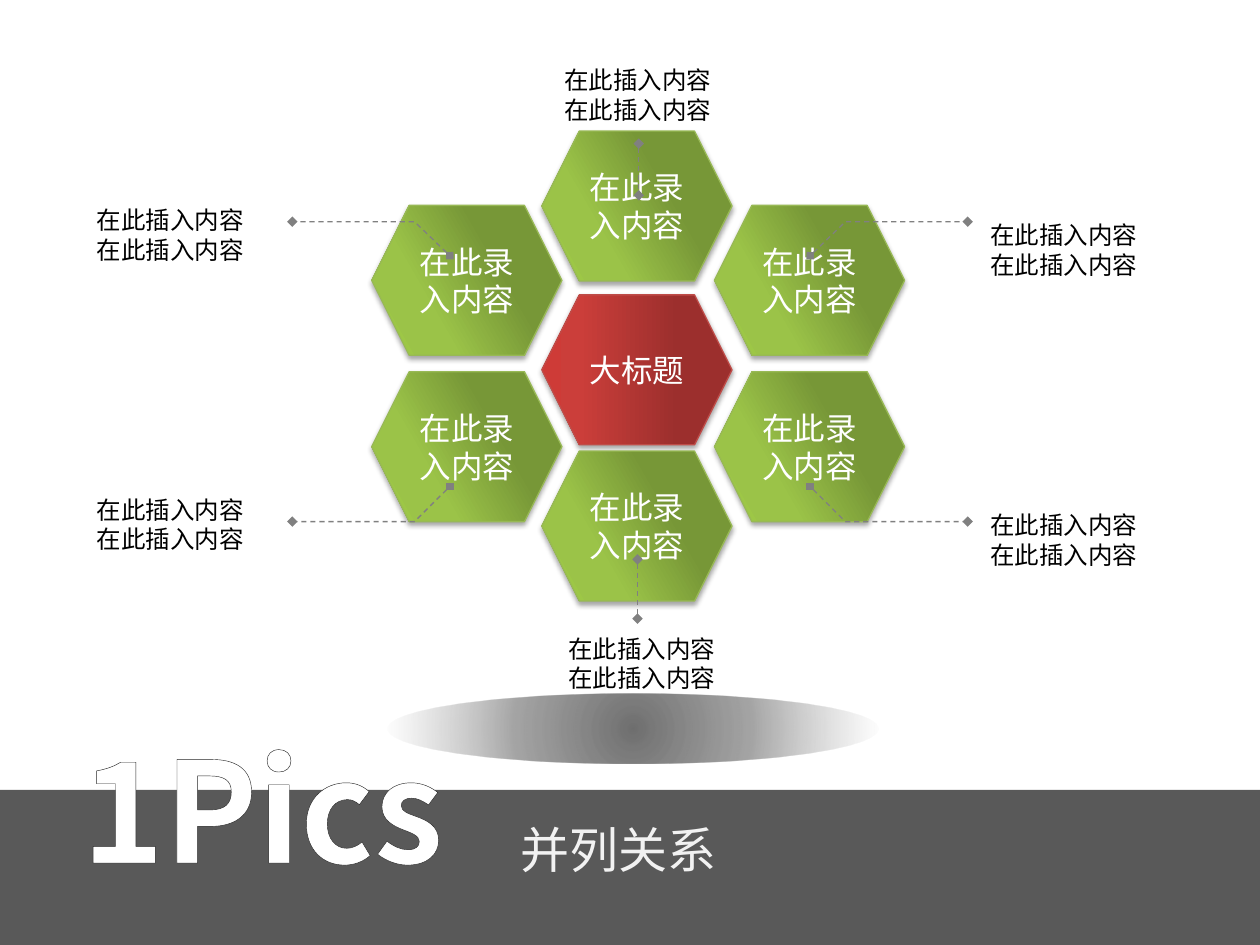
from lxml.etree import SubElement
from pptx import Presentation
from pptx.dml.color import RGBColor
from pptx.enum.dml import MSO_LINE
from pptx.enum.shapes import MSO_CONNECTOR, MSO_SHAPE
from pptx.enum.text import MSO_ANCHOR, MSO_AUTO_SIZE, PP_ALIGN
from pptx.oxml import parse_xml
from pptx.oxml.ns import nsdecls, qn
from pptx.util import Inches, Pt

FONT = "Noto Sans CJK SC"
WHITE = RGBColor(0xFF, 0xFF, 0xFF)
BLACK = RGBColor(0x00, 0x00, 0x00)
PALE = RGBColor(0xF2, 0xF2, 0xF2)
DARK = RGBColor(0x59, 0x59, 0x59)
GRAY = RGBColor(0x80, 0x80, 0x80)
GREEN = RGBColor(0x98, 0xB9, 0x55)
RED = RGBColor(0xBF, 0x4C, 0x48)

# Gradient stops: position, colour, opacity (percent)
LEAF = [(35, "779737", 100), (69, "9BC348", 100), (100, "9DC746", 100)]
ROSE = [(29, "9C2F2D", 100), (80, "CB3E3A", 100), (100, "CE3B37", 100)]
SHADE = [(0, "404040", 75), (48, "535353", 52), (100, "808080", 0)]
LINEAR = '<a:lin ang="{}" scaled="0"/>'
ROUND = ('<a:path path="circle"><a:fillToRect l="50000" t="50000" '
         'r="50000" b="50000"/></a:path>')


def set_text(frame, text, size, color, bold=False):
    frame.text = text
    for para in frame.paragraphs:
        for run in para.runs:
            font = run.font
            font.size, font.bold, font.name = Pt(size), bold, FONT
            font.color.rgb = color
            SubElement(font._element, qn("a:ea"), typeface=FONT)


def set_grad(shape, stops, way):
    parts = "".join(
        f'<a:gs pos="{pos * 1000}"><a:srgbClr val="{color}">'
        f'<a:alpha val="{alpha * 1000}"/></a:srgbClr></a:gs>'
        for pos, color, alpha in stops)
    fill = parse_xml(f'<a:gradFill {nsdecls("a")} rotWithShape="1">'
                     f'<a:gsLst>{parts}</a:gsLst>{way}</a:gradFill>')
    shape._element.spPr.find(qn("a:prstGeom")).addnext(fill)


deck = Presentation()
deck.slide_width, deck.slide_height = Inches(10), Inches(7.5)
slide = deck.slides.add_slide(deck.slide_layouts[5])
shapes = slide.shapes

# Footer band, placed behind the title
band = shapes.add_shape(MSO_SHAPE.RECTANGLE, 0, Inches(6.27), Inches(10), Inches(1.23))
band.shadow.inherit = False
band.fill.solid()
band.fill.fore_color.rgb = DARK
band.line.fill.background()
title = shapes.title
title._element.addprevious(band._element)

# Title
title.left, title.top = Inches(4.03), Inches(6.45)
title.width, title.height = Inches(1.77), Inches(0.57)
frame = title.text_frame
set_text(frame, "并列关系", 28, PALE)
frame.word_wrap = False
frame.auto_size = MSO_AUTO_SIZE.SHAPE_TO_FIT_TEXT
frame.vertical_anchor = MSO_ANCHOR.TOP
frame.paragraphs[0].alignment = PP_ALIGN.LEFT

# Large outlined caption
box = shapes.add_textbox(Inches(0.55), Inches(5.69), Inches(3.86), Inches(1.45))
frame = box.text_frame
frame.word_wrap = True
frame.auto_size = MSO_AUTO_SIZE.SHAPE_TO_FIT_TEXT
set_text(frame, "1Pics", 80, WHITE, True)
edge = parse_xml(f'<a:ln {nsdecls("a")} w="19050"><a:solidFill>'
                 '<a:srgbClr val="262626"/></a:solidFill></a:ln>')
frame.paragraphs[0].runs[0].font._element.insert(0, edge)

# Honeycomb
ring = [(2.95, 2.95), (5.67, 2.95), (2.95, 1.63), (5.67, 1.63),
        (4.3, 1.04), (4.3, 2.34), (4.3, 3.58)]
group = shapes.add_group_shape()
for x, y in ring:
    core = (x, y) == (4.3, 2.34)
    cell = group.shapes.add_shape(MSO_SHAPE.HEXAGON, Inches(x), Inches(y),
                                  Inches(1.51), Inches(1.19))
    set_grad(cell, ROSE if core else LEAF,
             LINEAR.format((180 if core else 150) * 60000))
    cell.line.color.rgb = RED if core else GREEN
    cell.line.width = Pt(0.75)
    cell.shadow.inherit = False
    cell._element.spPr.find(qn("a:effectLst")).append(parse_xml(
        f'<a:outerShdw {nsdecls("a")} blurRad="{Pt(3.1)}" dist="{Pt(1.8)}" '
        'dir="5400000" rotWithShape="0"><a:srgbClr val="000000">'
        '<a:alpha val="35000"/></a:srgbClr></a:outerShdw>'))
    set_text(cell.text_frame, "大标题" if core else "在此录入内容", 18, WHITE)
    cell.text_frame.vertical_anchor = MSO_ANCHOR.MIDDLE
    cell.text_frame.paragraphs[0].alignment = PP_ALIGN.CENTER

# Soft ground shade
oval = shapes.add_shape(MSO_SHAPE.OVAL, Inches(3.08), Inches(5.51),
                        Inches(3.89), Inches(0.55))
set_grad(oval, SHADE, ROUND)
oval.line.fill.background()
oval.shadow.inherit = False

# Leaders: bent ones mirrored about the middle, then two straight ones
leads = []
for near, far in [(2.03, 1.76), (3.86, 4.14)]:
    for side in (1, -1):
        start, *rest = [(Inches(5 + side * dx), Inches(y))
                        for dx, y in [(1.43, near), (1.71, far), (2.68, far)]]
        path = shapes.build_freeform(*start)
        path.add_line_segments(rest, close=False)
        lead = path.convert_to_shape()
        lead.fill.background()
        leads.append(lead)
for x, top, end in [(5.07, 1.14, 1.55), (5.06, 4.44, 4.91)]:
    leads.append(shapes.add_connector(MSO_CONNECTOR.STRAIGHT, Inches(x), Inches(top),
                                      Inches(x), Inches(end)))
for lead in leads:
    lead.line.color.rgb = GRAY
    lead.line.width = Pt(0.75)
    lead.line.dash_style = MSO_LINE.DASH
    props = lead._element.spPr
    for tip in ("a:headEnd", "a:tailEnd"):
        SubElement(props.find(qn("a:ln")), qn(tip), type="diamond")
    SubElement(props, qn("a:effectLst"))

# Labels
for x, y in [(7.76, 1.7), (7.76, 4), (4.38, 0.47), (4.41, 4.98), (0.67, 1.58), (0.67, 3.88)]:
    note = shapes.add_textbox(Inches(x), Inches(y), Inches(1.38), Inches(0.57))
    note.text_frame.word_wrap = False
    note.text_frame.auto_size = MSO_AUTO_SIZE.SHAPE_TO_FIT_TEXT
    set_text(note.text_frame, "在此插入内容\n在此插入内容", 14, BLACK)

deck.save("out.pptx")
